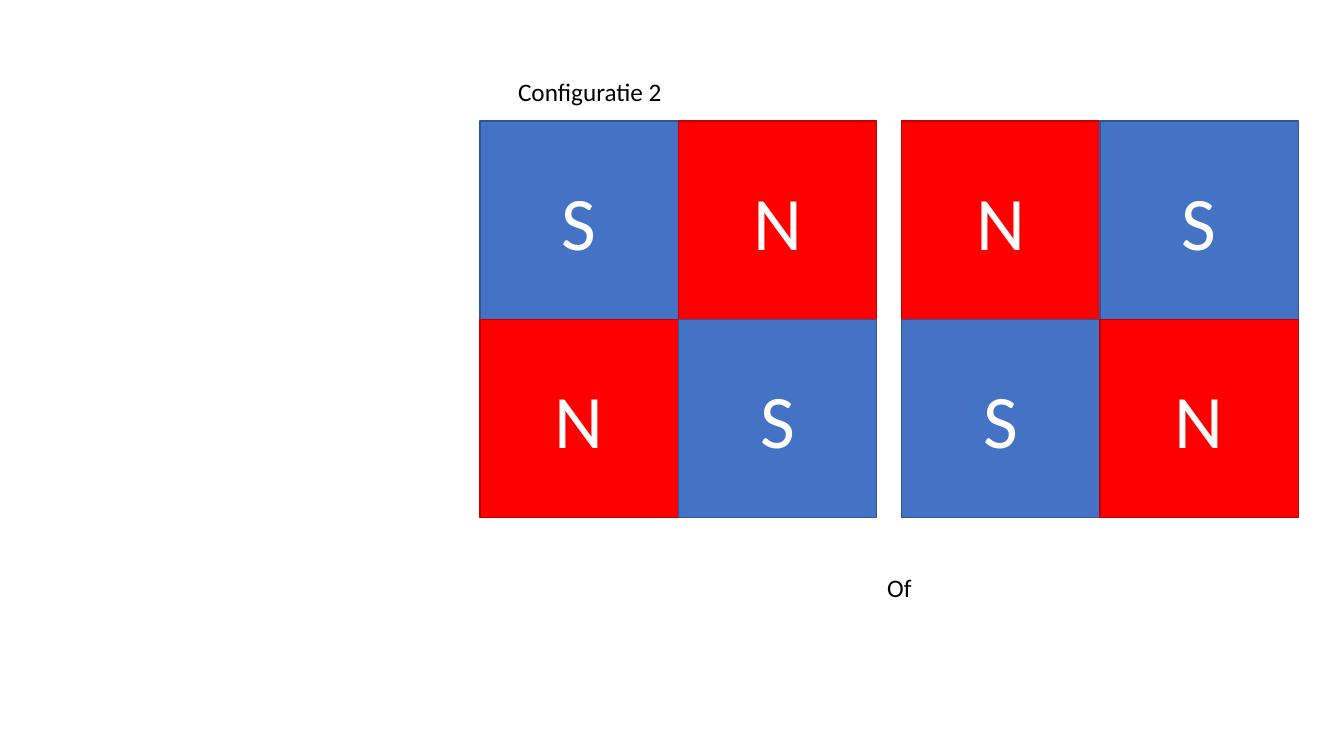
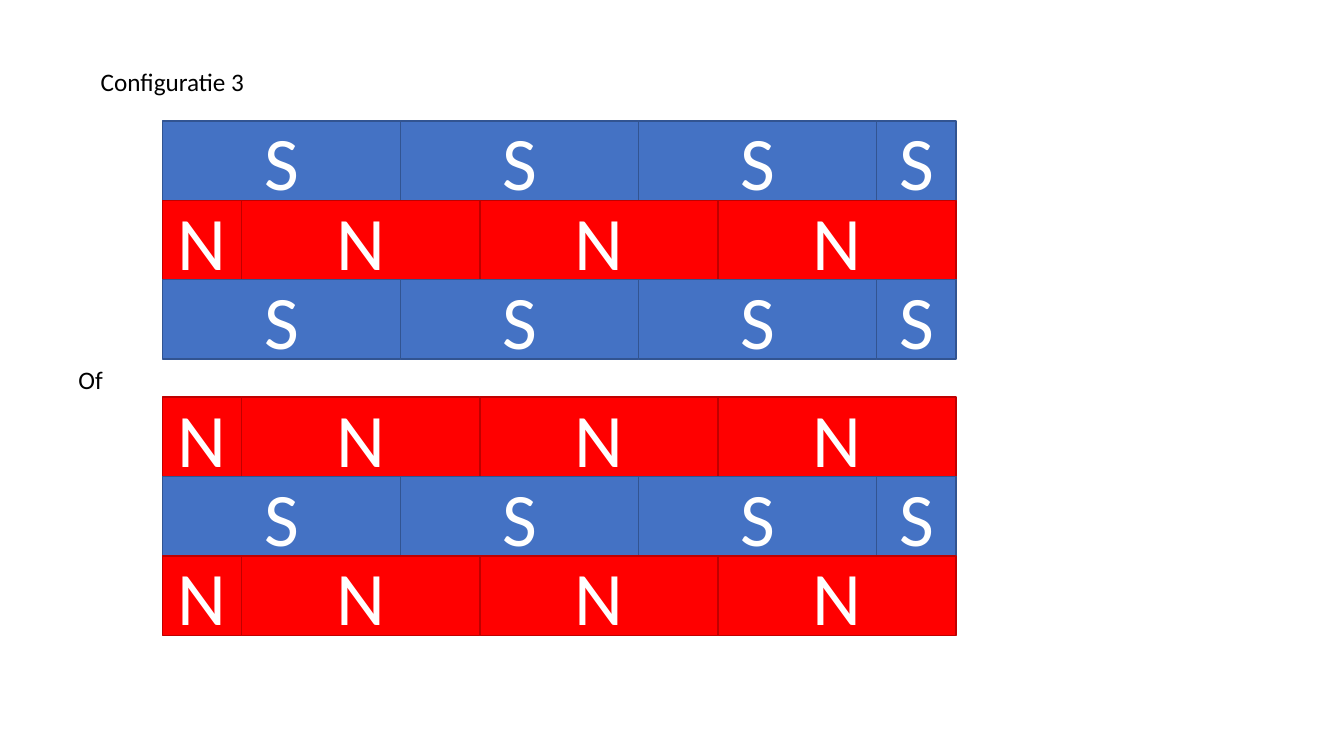
from dataclasses import dataclass

from pptx import Presentation
from pptx.dml.color import RGBColor
from pptx.enum.shapes import MSO_SHAPE
from pptx.enum.text import MSO_ANCHOR, MSO_AUTO_SIZE, PP_ALIGN
from pptx.util import Inches, Pt


@dataclass(frozen=True)
class Theme:
    font: str = "Calibri"
    label_size: int = 18
    pole_size: int = 54
    text: str = "000000"
    pole_text: str = "FFFFFF"
    south_fill: str = "4472C4"
    south_line: str = "325491"
    north_fill: str = "FF0000"
    north_line: str = "C00000"
    line_width: int = 1


THEME = Theme()
POLE_COLOURS = {
    "S": (THEME.south_fill, THEME.south_line),
    "N": (THEME.north_fill, THEME.north_line),
}
CENTIMETRE = 1 / 2.54  # the magnets measure whole centimetres
SQUARE_SIDE = 5 * CENTIMETRE
STRIP_HEIGHT = 2 * CENTIMETRE
SHORT_BAR = 2 * CENTIMETRE
LONG_BAR = 6 * CENTIMETRE
STRIP_WIDTHS = {
    "S": [LONG_BAR] * 3 + [SHORT_BAR],
    "N": [SHORT_BAR] + [LONG_BAR] * 3,
}


def style_paragraph(paragraph, text, size, colour):
    paragraph.text = text
    paragraph.font.name = THEME.font
    paragraph.font.size = Pt(size)
    paragraph.font.color.rgb = RGBColor.from_string(colour)


def add_label(slide, text, left, top, width):
    box = slide.shapes.add_textbox(
        Inches(left), Inches(top), Inches(width), Inches(0.4))
    frame = box.text_frame
    frame.word_wrap = False
    frame.auto_size = MSO_AUTO_SIZE.SHAPE_TO_FIT_TEXT
    style_paragraph(frame.paragraphs[0], text, THEME.label_size, THEME.text)


def add_pole(slide, pole, left, top, width, height):
    shape = slide.shapes.add_shape(
        MSO_SHAPE.RECTANGLE,
        Inches(left), Inches(top), Inches(width), Inches(height))
    fill, line = POLE_COLOURS[pole]
    shape.shadow.inherit = False
    shape.fill.solid()
    shape.fill.fore_color.rgb = RGBColor.from_string(fill)
    shape.line.color.rgb = RGBColor.from_string(line)
    shape.line.width = Pt(THEME.line_width)
    shape.text_frame.vertical_anchor = MSO_ANCHOR.MIDDLE
    paragraph = shape.text_frame.paragraphs[0]
    paragraph.alignment = PP_ALIGN.CENTER
    style_paragraph(paragraph, pole, THEME.pole_size, THEME.pole_text)


def add_checkerboard(slide, rows, left, top):
    for row, poles in enumerate(rows):
        for column, pole in enumerate(poles):
            add_pole(slide, pole, left + column * SQUARE_SIDE,
                     top + row * SQUARE_SIDE, SQUARE_SIDE, SQUARE_SIDE)


def add_strips(slide, poles, left, top):
    """Stack one strip of equal poles per letter, with staggered joints."""
    for row, pole in enumerate(poles):
        bar_left = left
        for width in STRIP_WIDTHS[pole]:
            add_pole(slide, pole, bar_left, top + row * STRIP_HEIGHT,
                     width, STRIP_HEIGHT)
            bar_left += width


def add_blank_slide(presentation):
    return presentation.slides.add_slide(presentation.slide_layouts[6])


def build_configuration_2(presentation):
    slide = add_blank_slide(presentation)
    add_label(slide, "Configuratie 2", 5.04, 0.71, 1.64)
    add_checkerboard(slide, ["SN", "NS"], 4.76, 1.2)
    add_checkerboard(slide, ["NS", "SN"], 8.94, 1.2)
    add_label(slide, "Of", 8.7, 5.63, 0.45)


def build_configuration_3(presentation):
    slide = add_blank_slide(presentation)
    add_label(slide, "Configuratie 3", 0.9, 0.61, 1.64)
    add_strips(slide, "SNS", 1.61, 1.2)
    add_label(slide, "Of", 0.68, 3.57, 0.45)
    add_strips(slide, "NSN", 1.61, 3.94)


def main():
    presentation = Presentation()
    presentation.slide_width = Inches(13.33)
    presentation.slide_height = Inches(7.5)
    build_configuration_2(presentation)
    build_configuration_3(presentation)
    presentation.save("out.pptx")


if __name__ == "__main__":
    main()
